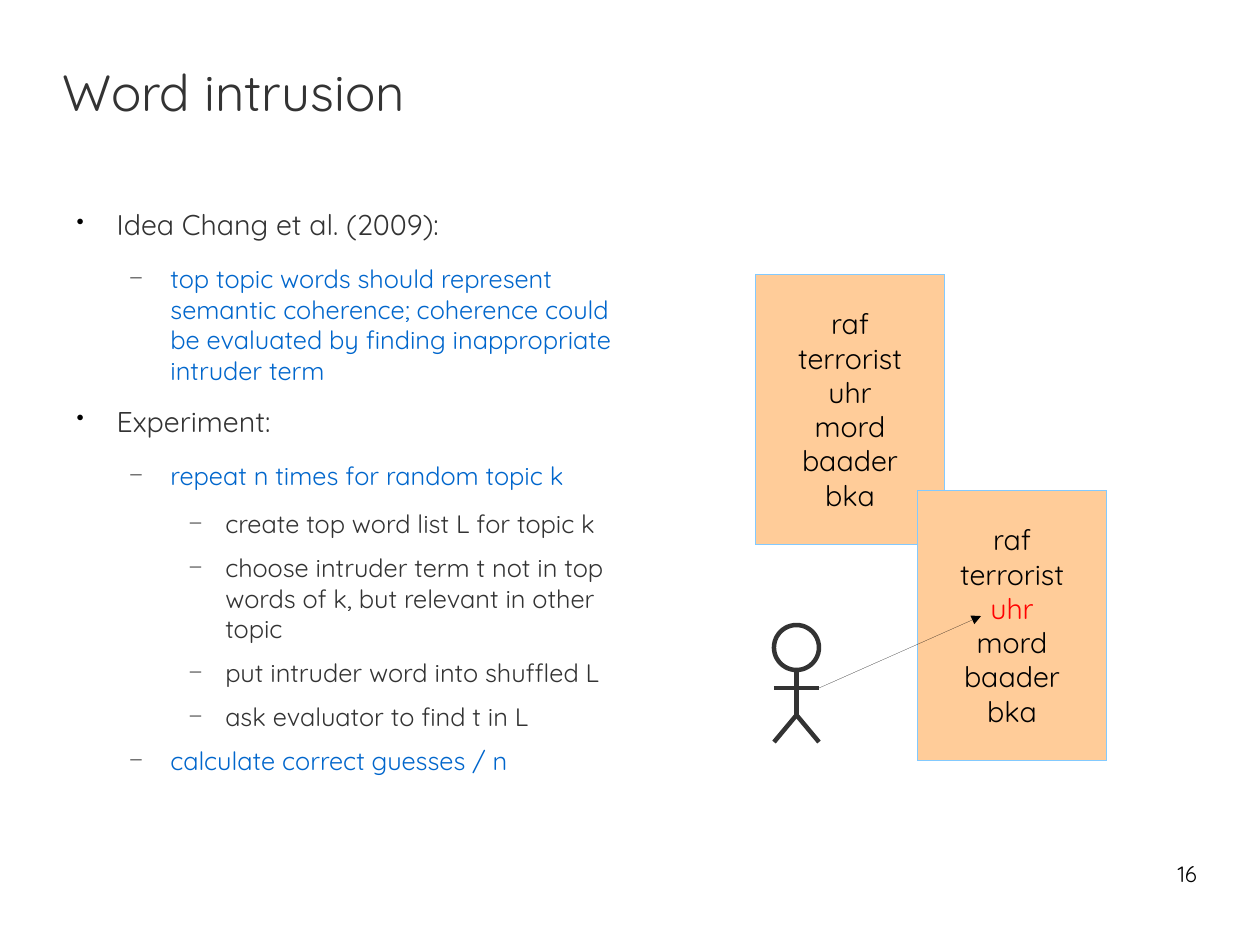
from lxml.etree import SubElement
from pptx import Presentation
from pptx.dml.color import RGBColor
from pptx.enum.shapes import MSO_CONNECTOR as Connector, MSO_SHAPE as Shape
from pptx.enum.text import MSO_ANCHOR as Anchor, MSO_AUTO_SIZE as AutoSize, PP_ALIGN as Align
from pptx.oxml.ns import qn
from pptx.util import Cm, Inches, Pt

COLUMNS, ROWS = 56, 42
DARK, BLUE, BLACK, RED = "333333", "0066CC", "000000", "FF0000"
PEACH, SKY = "FFCC99", "83CAFF"
HAIRLINE, THICK = 0.01, 2.83

# level: bullet, bullet size in %, indent, hanging, space after, text size, colour
OUTLINE_LEVELS = [
    ("•", 75, 0.47, 0.35, 14.1, 18, DARK),
    ("―", 45, 0.94, 0.35, 11.3, 16, BLUE),
    ("—", 45, 1.42, 0.31, 8.5, 16, DARK),
]
OUTLINE = [
    (0, "Idea Chang et al. (2009):"),
    (1, "top topic words should represent semantic coherence; coherence "
        "could be evaluated by finding inappropriate intruder term"),
    (0, "Experiment:"),
    (1, "repeat n times for random topic k"),
    (2, "create top word list L for topic k"),
    (2, "choose intruder term t not in top words of k, but relevant in other topic"),
    (2, "put intruder word into shuffled L"),
    (2, "ask evaluator to find t in L"),
    (1, "calculate correct guesses / n"),
]
TOPIC_WORDS = ["raf", "terrorist", "uhr", "mord", "baader", "bka"]


def rgb(color):
    """Turn a hex string into a colour."""
    return RGBColor.from_string(color)


class SlideBuilder:
    """Hold the style and the current slide, and place elements on a grid."""

    def __init__(self, presentation, font="Quicksand"):
        self.font = font
        self.cell_width = presentation.slide_width / COLUMNS
        self.cell_height = presentation.slide_height / ROWS
        self.slide = presentation.slides.add_slide(presentation.slide_layouts[5])

    def place(self, column, row):
        """Convert grid columns and rows to lengths."""
        return round(column * self.cell_width), round(row * self.cell_height)

    def style(self, paragraph, size, color, align=Align.LEFT):
        """Set the look of a whole paragraph."""
        paragraph.alignment = align
        paragraph.font.name = self.font
        paragraph.font.size = Pt(size)
        paragraph.font.color.rgb = rgb(color)

    def clear_frame(self, shape, anchor=Anchor.TOP):
        """Remove the insets of a text frame and let it wrap."""
        frame = shape.text_frame
        frame.margin_left = frame.margin_right = 0
        frame.margin_top = frame.margin_bottom = 0
        frame.word_wrap = True
        frame.auto_size = AutoSize.NONE
        frame.vertical_anchor = anchor
        return frame

    def title(self, text, position, size):
        """Fill and move the title placeholder."""
        shape = self.slide.shapes.title
        shape.left, shape.top = self.place(*position)
        shape.width, shape.height = self.place(*size)
        frame = self.clear_frame(shape, Anchor.MIDDLE)
        frame.text = text
        self.style(frame.paragraphs[0], 32, DARK)

    def text_box(self, position, size):
        """Add an empty wrapping text box and return its frame."""
        box = self.slide.shapes.add_textbox(*self.place(*position), *self.place(*size))
        return self.clear_frame(box)

    def page_number(self, text, position, size):
        """Add the page number, aligned right."""
        frame = self.text_box(position, size)
        frame.text = text
        self.style(frame.paragraphs[0], 14, BLACK, Align.RIGHT)

    def outline(self, items, position, size):
        """Add a bulleted list of (level, text) items."""
        frame = self.text_box(position, size)
        for index, (level, text) in enumerate(items):
            paragraph = frame.add_paragraph() if index else frame.paragraphs[0]
            bullet, bullet_size, indent, hanging, after, text_size, color = OUTLINE_LEVELS[level]
            paragraph.text = text
            paragraph.level = level
            paragraph.space_after = Pt(after)
            self.bullet(paragraph, bullet, bullet_size, indent, hanging)
            self.style(paragraph, text_size, color)

    def bullet(self, paragraph, character, size, indent, hanging):
        """Give a paragraph a black bullet and a hanging indent."""
        properties = paragraph._p.get_or_add_pPr()
        properties.set("marL", str(Inches(indent)))
        properties.set("indent", str(-Inches(hanging)))
        bullet_color = SubElement(properties, qn("a:buClr"))
        SubElement(bullet_color, qn("a:srgbClr"), val=BLACK)
        SubElement(properties, qn("a:buSzPct"), val=str(size * 1000))
        SubElement(properties, qn("a:buChar"), char=character)

    def stroke(self, shape, color, width):
        """Set the colour and width of a line or outline."""
        shape.line.color.rgb = rgb(color)
        shape.line.width = Pt(width)

    def word_card(self, words, position, size, intruder=None):
        """Add a card of centred words with the intruder in red."""
        card = self.slide.shapes.add_shape(
            Shape.FLOWCHART_PROCESS, *self.place(*position), *self.place(*size))
        card.shadow.inherit = False
        card.fill.solid()
        card.fill.fore_color.rgb = rgb(PEACH)
        self.stroke(card, SKY, HAIRLINE)
        frame = card.text_frame
        frame.word_wrap = False
        frame.vertical_anchor = Anchor.MIDDLE
        frame.text = "\n".join(words)
        for word, paragraph in zip(words, frame.paragraphs):
            self.style(paragraph, 18, RED if word == intruder else BLACK, Align.CENTER)

    def line(self, shapes, start, end, color, width):
        """Add a straight line without a shadow and return it."""
        connector = shapes.add_connector(
            Connector.STRAIGHT, *self.place(*start), *self.place(*end))
        self.stroke(connector, color, width)
        SubElement(connector._element.spPr, qn("a:effectLst"))
        return connector

    def arrow(self, start, end):
        """Add a thin black arrow."""
        connector = self.line(self.slide.shapes, start, end, BLACK, HAIRLINE)
        outline = connector._element.spPr.find(qn("a:ln"))
        SubElement(outline, qn("a:tailEnd"), type="triangle")

    def stick_figure(self, column, row):
        """Add a grouped stick figure below the given cell and return its right hand."""
        shapes = self.slide.shapes.add_group_shape().shapes
        head = shapes.add_shape(
            Shape.OVAL, *self.place(column - 1, row), *self.place(2, 2))
        head.shadow.inherit = False
        head.fill.background()
        self.stroke(head, DARK, THICK)
        neck, hip = (column, row + 2), (column, row + 4)
        left_foot, right_foot = (column - 1, row + 5.2), (column + 1, row + 5.2)
        left_hand, right_hand = (column - 1, row + 2.8), (column + 1, row + 2.8)
        limbs = [(neck, hip), (hip, left_foot), (right_foot, hip), (left_hand, right_hand)]
        for start, end in limbs:
            self.line(shapes, start, end, DARK, THICK)
        return right_hand


def main():
    """Build the word intrusion slide."""
    presentation = Presentation()
    presentation.slide_width, presentation.slide_height = Cm(28), Cm(21)
    builder = SlideBuilder(presentation)
    builder.title("Word intrusion", (2.8, 1.68), (42.84, 4.72))
    builder.outline(OUTLINE, (2.8, 9.2), (25.6, 28))
    builder.word_card(TOPIC_WORDS, (33.58, 12.18), (8.4, 12))
    builder.word_card(TOPIC_WORDS, (40.78, 21.78), (8.4, 12), intruder="uhr")
    hand = builder.stick_figure(35.4, 27.78)
    builder.arrow(hand, (43.6, 27.38))
    builder.page_number("16", (40.14, 38.25), (13.06, 2.9))
    presentation.save("out.pptx")


if __name__ == "__main__":
    main()
